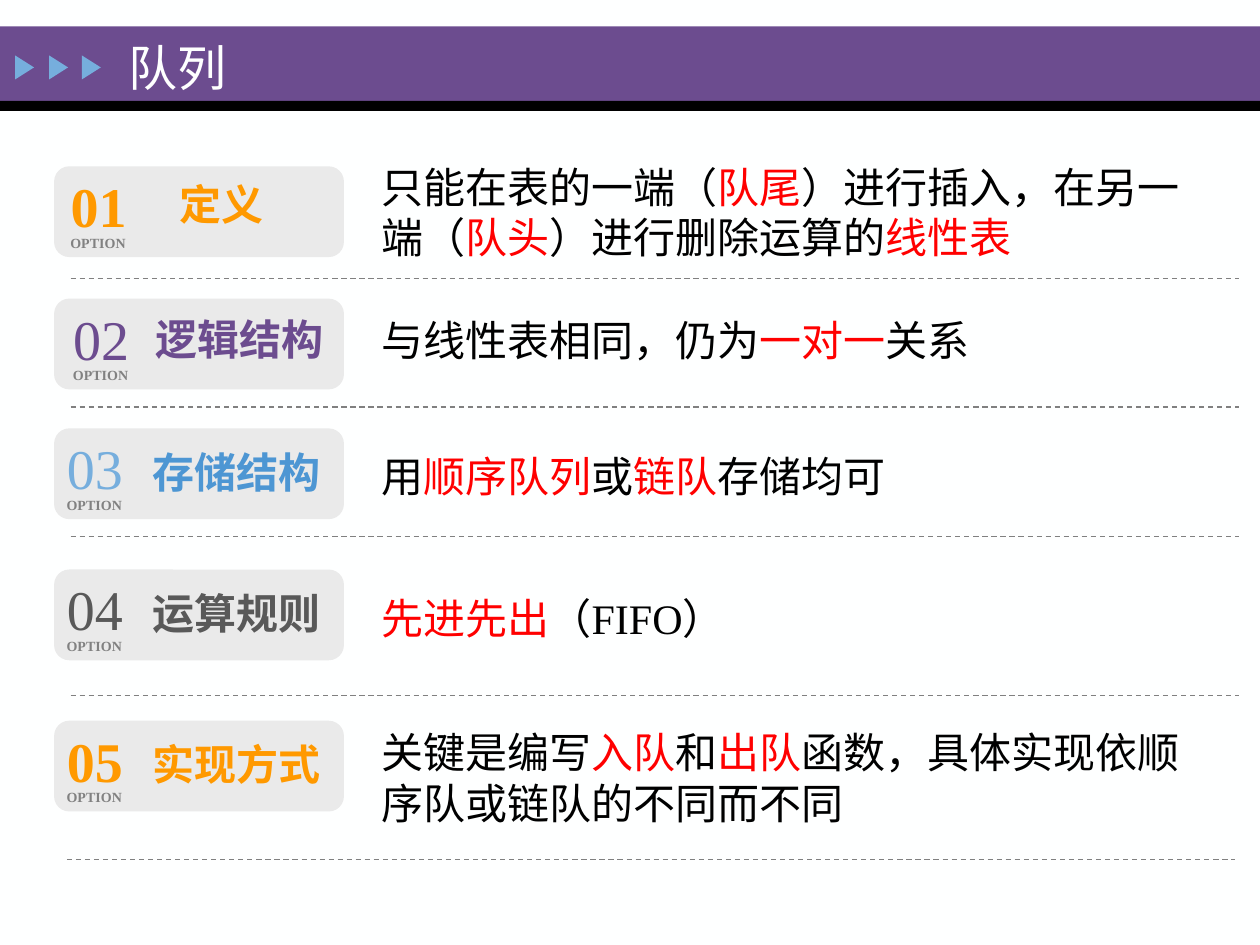
from dataclasses import dataclass

from lxml.etree import SubElement
from pptx import Presentation
from pptx.dml.color import RGBColor
from pptx.enum.dml import MSO_LINE_DASH_STYLE as Dash
from pptx.enum.shapes import MSO_CONNECTOR, MSO_SHAPE
from pptx.enum.text import MSO_ANCHOR as Anchor
from pptx.enum.text import MSO_AUTO_SIZE as AutoSize
from pptx.enum.text import PP_ALIGN as Align
from pptx.oxml.ns import qn
from pptx.util import Inches, Pt

FONT = "Times New Roman"
COLORS = {
    "paper": "FEFFFF", "purple": "6C4C8F", "black": "000000", "sky": "76AEDD",
    "card": "EAEAEA", "orange": "FF9900", "blue": "4D96D3", "slate": "595959",
    "red": "FF0000", "caption": "818181", "rule": "808080",
}
CARD_LEFT, CARD_WIDTH, CARD_HEIGHT = 0.43, 2.3, 0.72
BODY_LEFT = 2.93
RULE_LENGTH = 9.27


@dataclass
class Box:
    left: float
    top: float
    width: float
    height: float

    def lengths(self) -> list:
        return [Inches(v) for v in (self.left, self.top, self.width, self.height)]


@dataclass
class Option:
    """One row; in the body, text between bars is shown in red."""
    number: str
    heading: str
    body: str
    number_color: str
    heading_color: str
    card_top: float
    number_left: float
    heading_box: Box
    body_box: Box
    rule_y: float
    rule_left: float = 0.56
    heading_align: Align = Align.LEFT
    bold_number: bool = False
    wrap_body: bool = True
    line_spacing: float = 1.0


OPTIONS = [
    Option("01", "定义", "只能在表的一端（|队尾|）进行插入，在另一端（|队头|）进行删除运算的|线性表|",
           "orange", "orange", 1.32, 0.56, Box(1.33, 1.23, 1.21, 0.78),
           Box(BODY_LEFT, 1.23, 6.64, 0.91), 2.21,
           heading_align=Align.JUSTIFY, bold_number=True),
    Option("02", "逻辑结构", "与线性表相同，仍为|一对一|关系",
           "purple", "purple", 2.37, 0.58, Box(1.11, 2.46, 1.58, 0.46),
           Box(BODY_LEFT, 2.49, 4.91, 0.47), 3.23,
           heading_align=Align.CENTER, wrap_body=False, line_spacing=0.9),
    Option("03", "存储结构", "用|顺序队列|或|链队|存储均可",
           "sky", "blue", 3.4, 0.53, Box(1.11, 3.47, 1.64, 0.54),
           Box(BODY_LEFT, 3.53, 6.95, 0.4), 4.26),
    Option("04", "运算规则", "|先进先出|（FIFO）",
           "slate", "slate", 4.52, 0.53, Box(1.11, 4.59, 1.64, 0.54),
           Box(BODY_LEFT, 4.65, 6.95, 0.4), 5.52),
    Option("05", "实现方式", "关键是编写|入队|和|出队|函数，具体实现依顺序队或链队的不同而不同",
           "orange", "orange", 5.72, 0.53, Box(1.11, 5.79, 1.64, 0.54),
           Box(BODY_LEFT, 5.72, 6.8, 0.91), 6.82, rule_left=0.53,
           heading_align=Align.JUSTIFY, bold_number=True),
]


def rgb(name: str) -> RGBColor:
    return RGBColor.from_string(COLORS[name])


def style(font, size: float, color: str, bold: bool = False) -> None:
    font.name, font.size, font.bold = FONT, Pt(size), bold
    font.color.rgb = rgb(color)


def add_block(slide, kind: MSO_SHAPE, box: Box, color: str):
    block = slide.shapes.add_shape(kind, *box.lengths())
    block.shadow.inherit = False
    block.fill.solid()
    block.fill.fore_color.rgb = rgb(color)
    block.line.fill.background()
    return block


def add_text(slide, box: Box, text: str, size: float, color: str, bold: bool = False,
             anchor: Anchor = Anchor.TOP, align: Align = Align.LEFT,
             wrap: bool = True, inset: bool = True):
    """Add a one-paragraph text box, with red runs between bars."""
    frame = slide.shapes.add_textbox(*box.lengths()).text_frame
    frame.word_wrap = wrap
    frame.vertical_anchor = anchor
    if not inset:
        frame.margin_left = frame.margin_right = 0
        frame.margin_top = frame.margin_bottom = 0
    paragraph = frame.paragraphs[0]
    paragraph.alignment = align
    for index, part in enumerate(text.split("|")):
        if part:
            run = paragraph.add_run()
            run.text = part
            style(run.font, size, "red" if index % 2 else color, bold)
    return paragraph


def add_rule(slide, left: float, y: float) -> None:
    rule = slide.shapes.add_connector(
        MSO_CONNECTOR.STRAIGHT, Inches(left), Inches(y),
        Inches(left + RULE_LENGTH), Inches(y))
    rule.line.color.rgb = rgb("rule")
    rule.line.width = Pt(0.75)
    rule.line.dash_style = Dash.DASH
    SubElement(rule._element.spPr, qn("a:effectLst"))


def add_header(slide) -> None:
    add_block(slide, MSO_SHAPE.RECTANGLE, Box(0, 0.21, 10, 0.59), "purple")
    add_block(slide, MSO_SHAPE.RECTANGLE, Box(0, 0.8, 10, 0.08), "black")
    for left in (0.1, 0.37, 0.63):
        arrow = add_block(slide, MSO_SHAPE.ISOSCELES_TRIANGLE,
                          Box(left, 0.46, 0.19, 0.15), "sky")
        arrow.rotation = 90

    title = slide.shapes.title
    title.left, title.top, title.width, title.height = Box(0.92, 0.28, 7, 0.5).lengths()
    frame = title.text_frame
    frame.text = "队列"
    frame.auto_size = AutoSize.NONE
    frame.vertical_anchor = Anchor.MIDDLE
    frame.paragraphs[0].alignment = Align.LEFT
    style(frame.paragraphs[0].runs[0].font, 28, "paper")
    # Bring the title in front of the header band.
    slide.shapes._spTree.append(title._element)


def add_option(slide, option: Option) -> None:
    top, left = option.card_top, option.number_left
    add_block(slide, MSO_SHAPE.ROUNDED_RECTANGLE,
              Box(CARD_LEFT, top, CARD_WIDTH, CARD_HEIGHT), "card")
    add_text(slide, Box(left, top + 0.04, 0.55, 0.54), option.number, 32,
             option.number_color, option.bold_number, Anchor.MIDDLE, inset=False)
    add_text(slide, Box(left - 0.1, top + 0.49, 0.65, 0.24), "OPTION", 8,
             "caption", bold=True, wrap=False)
    add_text(slide, option.heading_box, option.heading, 24, option.heading_color,
             True, Anchor.MIDDLE, option.heading_align)
    body = add_text(slide, option.body_box, option.body, 24, "black",
                    wrap=option.wrap_body)
    body.line_spacing = option.line_spacing
    add_rule(slide, option.rule_left, option.rule_y)


def main() -> None:
    deck = Presentation()
    deck.slide_width, deck.slide_height = Inches(10), Inches(7.5)
    slide = deck.slides.add_slide(deck.slide_layouts[5])
    slide.background.fill.solid()
    slide.background.fill.fore_color.rgb = rgb("paper")
    add_header(slide)
    for option in OPTIONS:
        add_option(slide, option)
    deck.save("out.pptx")


if __name__ == "__main__":
    main()
